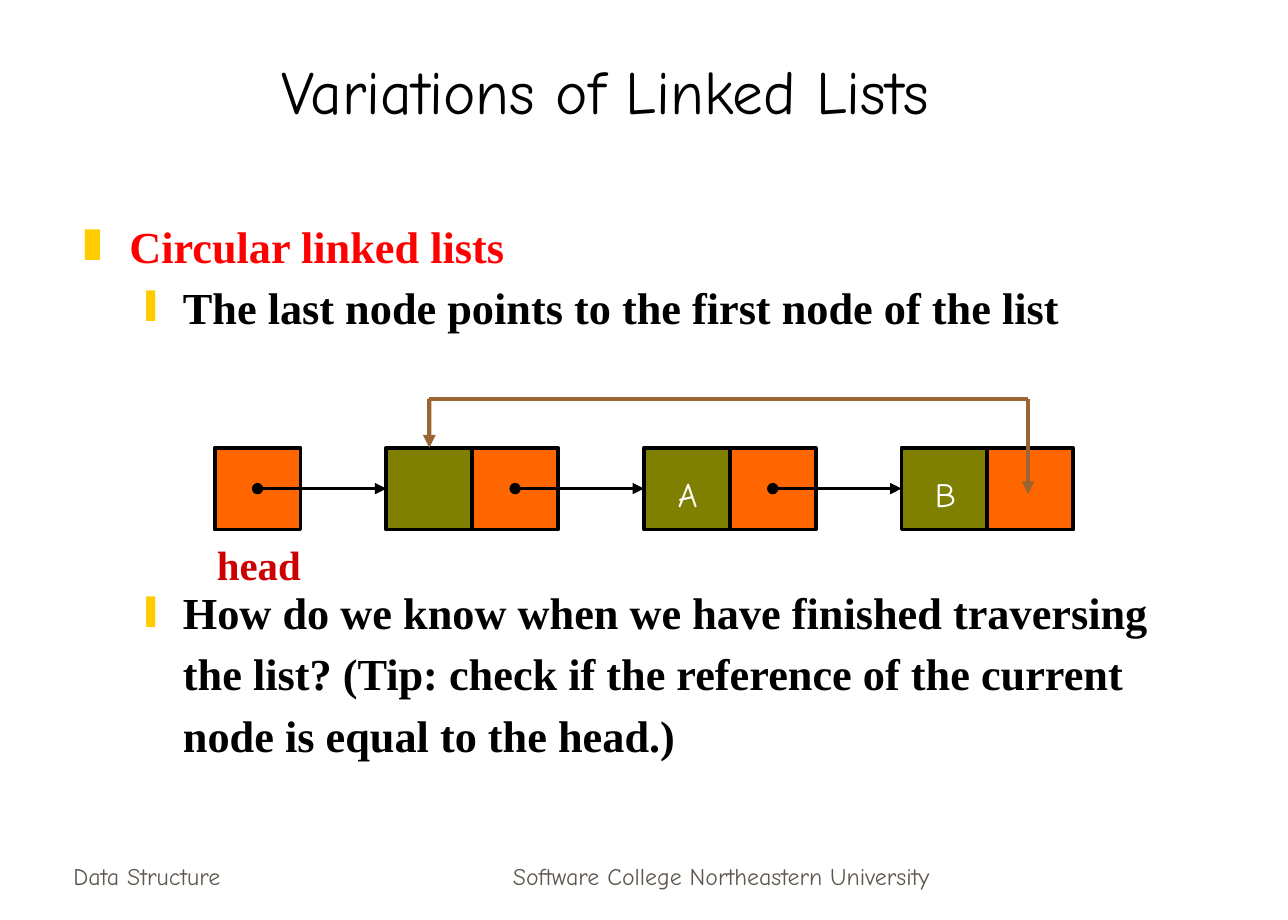
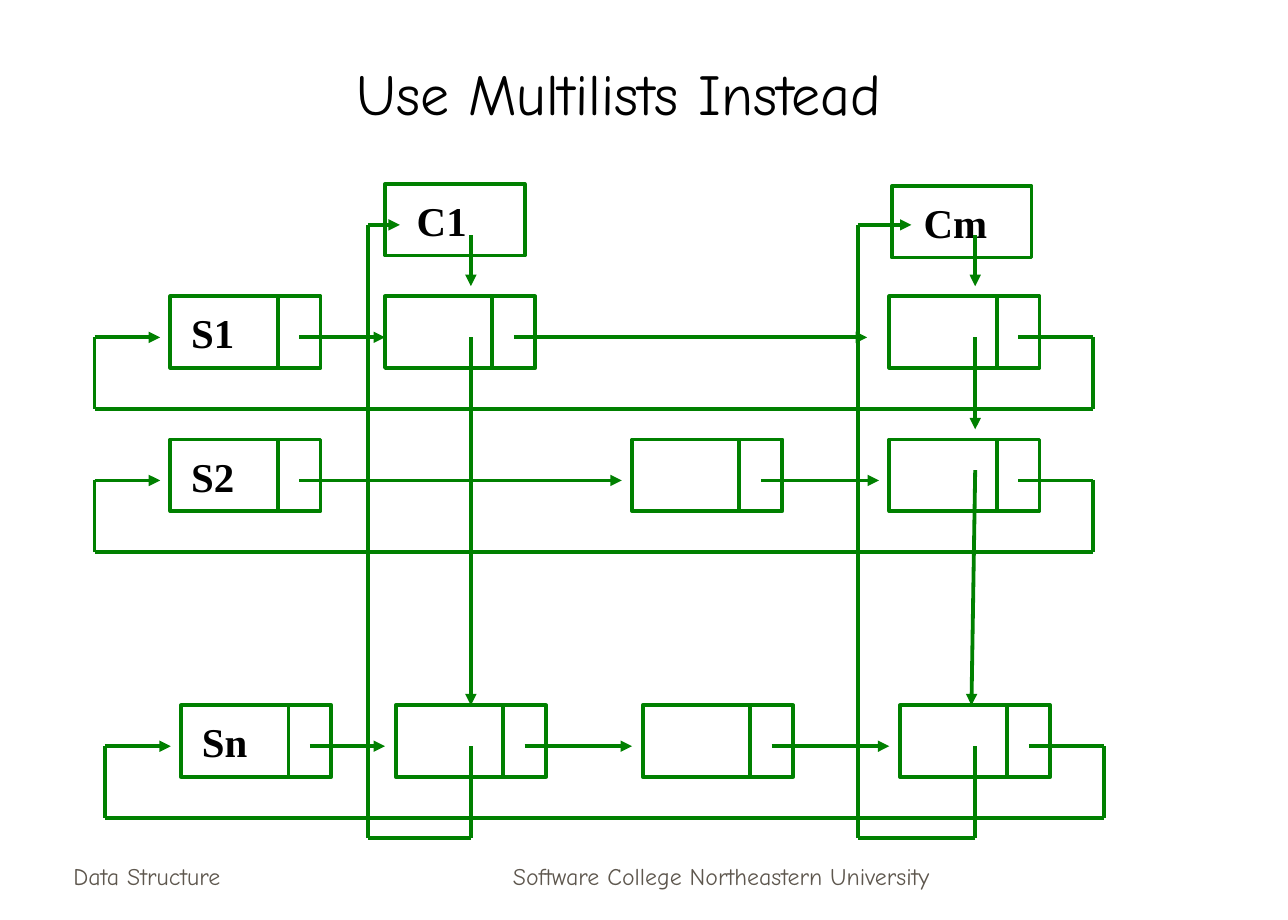
"""Two slides on circular linked lists and multilists."""
from lxml.etree import SubElement
from pptx import Presentation
from pptx.dml.color import RGBColor
from pptx.enum.shapes import MSO_CONNECTOR as Link, MSO_SHAPE as Preset
from pptx.enum.text import MSO_ANCHOR as Anchor, MSO_AUTO_SIZE as Fit, PP_ALIGN as Align
from pptx.oxml.ns import qn
from pptx.util import Pt

BLACK = RGBColor(0x00, 0x00, 0x00)
WHITE = RGBColor(0xFF, 0xFF, 0xFF)
RED = RGBColor(0xFF, 0x00, 0x00)
DARK_RED = RGBColor(0xCC, 0x00, 0x00)
YELLOW = RGBColor(0xFF, 0xCC, 0x00)
ORANGE = RGBColor(0xFF, 0x66, 0x00)
OLIVE = RGBColor(0x80, 0x80, 0x00)
BROWN = RGBColor(0x99, 0x66, 0x33)
GREEN = RGBColor(0x00, 0x80, 0x00)
GREY = RGBColor(0x5E, 0x57, 0x4E)
COMIC, TIMES = "Comic Neue", "Times New Roman"

CELL_W, CELL_H, CELL_TOP = 50.4, 48, 262.8
STEP = 75.6
BOX_W, BOX_H = 88.2, 42
DIVIDER, POINTER, MIDDLE = 63, 75.6, 24
COLUMNS = (100, 226, 371, 522)
SHIFT = 6.3


def style(paragraph, font, size, color, bold=False, align=Align.LEFT):
    """Format a paragraph and its runs."""
    paragraph.alignment = align
    for run in paragraph.runs:
        run.font.name, run.font.size, run.font.bold = font, Pt(size), bold
        run.font.color.rgb = color


def add_label(slide, area, text, *look, anchor=Anchor.TOP):
    """Add a one-paragraph text box."""
    frame = slide.shapes.add_textbox(*map(Pt, area)).text_frame
    frame.word_wrap, frame.vertical_anchor = True, anchor
    frame.text = text
    style(frame.paragraphs[0], *look)


def add_box(slide, area, line, fill=None):
    """Add an outlined rectangle, empty or filled."""
    box = slide.shapes.add_shape(Preset.RECTANGLE, *map(Pt, area))
    box.shadow.inherit = False
    box.line.color.rgb, box.line.width = line, Pt(2.25)
    if fill is None:
        box.fill.background()
    else:
        box.fill.solid()
        box.fill.fore_color.rgb = fill
    return box


def write_in_box(box, text, left, top, *look):
    """Write text in a box at the given insets."""
    frame = box.text_frame
    frame.word_wrap, frame.vertical_anchor = True, Anchor.TOP
    frame.margin_left, frame.margin_top = Pt(left), Pt(top)
    frame.margin_right = frame.margin_bottom = 0
    frame.text = text
    style(frame.paragraphs[0], *look)


def add_line(slide, start, end, color, width=2.25, head=None, tail=None):
    """Add a straight line with optional ends."""
    line = slide.shapes.add_connector(Link.STRAIGHT, *map(Pt, (*start, *end)))
    line.line.color.rgb, line.line.width = color, Pt(width)
    properties = line.element.spPr
    outline = properties.find(qn("a:ln"))
    for tag, kind in (("a:headEnd", head), ("a:tailEnd", tail)):
        if kind:
            SubElement(outline, qn(tag)).set("type", kind)
    SubElement(properties, qn("a:effectLst"))
    return line


def add_route(slide, points, color, width=2.25, head=None, tail="triangle"):
    """Join points by lines and return the last one."""
    last = len(points) - 2
    for index, (start, end) in enumerate(zip(points, points[1:])):
        line = add_line(slide, start, end, color, width,
                        head if index == 0 else None, tail if index == last else None)
    return line


def add_titled_slide(deck, title, area, size):
    """Add a slide with its title and the shared footers."""
    slide = deck.slides.add_slide(deck.slide_layouts[5])
    heading = slide.shapes.title
    heading.left, heading.top, heading.width, heading.height = map(Pt, area)
    frame = heading.text_frame
    frame.text = title
    frame.auto_size, frame.vertical_anchor = Fit.NONE, Anchor.BOTTOM
    style(frame.paragraphs[0], COMIC, size, BLACK, False, Align.CENTER)
    for left, width, text, align in (
            (36, 157.7, "Data Structure", Align.LEFT),
            (258.5, 329.8, "Software College Northeastern University", Align.CENTER)):
        add_label(slide, (left, 490.3, width, 36), text, COMIC, 14, GREY, False, align,
                  anchor=Anchor.BOTTOM)
    return slide


def add_bullets(slide, area, bullets):
    """Add a text box of bullets: text, colour, mark, level, margin, hang and gap."""
    frame = slide.shapes.add_textbox(*map(Pt, area)).text_frame
    frame.word_wrap = True
    frame.text = "\n".join(bullet[0] for bullet in bullets)
    for paragraph, (_, color, mark, level, margin, hang, gap) in zip(frame.paragraphs, bullets):
        style(paragraph, TIMES, 26, color, True)
        paragraph.level = level
        paragraph.line_spacing, paragraph.space_before = 1.15, Pt(gap)
        properties = paragraph._p.get_or_add_pPr()
        properties.set("marL", str(Pt(margin)))
        properties.set("indent", str(-Pt(hang)))
        tint = SubElement(properties, qn("a:buClr"))
        SubElement(tint, qn("a:srgbClr")).set("val", str(YELLOW))
        SubElement(properties, qn("a:buFont")).set("typeface", TIMES)
        SubElement(properties, qn("a:buChar")).set("char", mark)


def add_circular_list(slide):
    """Draw the head, three nodes and the link back."""
    middle = CELL_TOP + CELL_H / 2
    head_left = 126
    first_left = head_left + CELL_W / 2 + STEP
    add_box(slide, (head_left, CELL_TOP, CELL_W, CELL_H), BLACK, ORANGE)
    nodes = []
    for index, letter in enumerate(("", "A", "B")):
        left = first_left + 2 * STEP * index
        add_box(slide, (left + CELL_W, CELL_TOP, CELL_W, CELL_H), BLACK, ORANGE)
        node = add_box(slide, (left, CELL_TOP, CELL_W, CELL_H), BLACK, OLIVE)
        if letter:
            write_in_box(node, letter, 1, 15, COMIC, 20, WHITE, False, Align.CENTER)
        pointer = add_line(slide, (left - STEP, middle), (left, middle), BLACK,
                           head="oval", tail="triangle")
        pointer.end_connect(node, 1)
        nodes.append(node)
    first_center = first_left + CELL_W / 2
    back = add_route(slide, [(603.5, 290), (603.5, 234), (first_center, 234),
                             (first_center, CELL_TOP)], BROWN, 2.5, head="triangle")
    back.end_connect(nodes[0], 0)
    add_label(slide, (102, 313.2, 100, 36), "head", TIMES, 24, DARK_RED, True, Align.CENTER)


def add_row(slide, name, top, columns, gaps, shift=0):
    """Draw a ring of records and return their boxes; gaps stop arrows short."""
    lefts = [COLUMNS[column] + shift for column in columns]
    middle = top + MIDDLE
    boxes = []
    for left in lefts:
        boxes.append(add_box(slide, (left, top, BOX_W, BOX_H), GREEN))
        add_line(slide, (left + DIVIDER, top), (left + DIVIDER, top + BOX_H), GREEN)
    write_in_box(boxes[0], name, 12.2, 6.8, TIMES, 24, BLACK, True)
    for left, target, gap in zip(lefts, lefts[1:], gaps):
        add_route(slide, [(left + POINTER, middle), (target - gap, middle)], GREEN)
    near, far, bottom = 55.5 + shift, 641.5 + shift, top + 66
    add_route(slide, [(lefts[-1] + POINTER, middle), (far, middle), (far, bottom),
                      (near, bottom), (near, middle), (lefts[0] - 6, middle)], GREEN)
    return boxes


def add_column(slide, name, left, top, center, return_x, tip):
    """Draw a column head, its first arrow and the link back to it."""
    box = add_box(slide, (left, top, 82, BOX_H), GREEN)
    write_in_box(box, name, 18.6, 6.8, TIMES, 24, BLACK, True)
    add_route(slide, [(center, 138), (center, 168)], GREEN)
    add_route(slide, [(center, 438), (center, 492), (return_x, 492),
                      (return_x, 132), (tip, 132)], GREEN)


def add_multilist(slide):
    """Draw the three rows and the two columns that cross them."""
    add_row(slide, "S1", 174, (0, 1, 3), (0, 13))
    add_row(slide, "S2", 258, (0, 2, 3), (6, 6))
    last_row = add_row(slide, "Sn", 414, (0, 1, 2, 3), (SHIFT,) * 3, SHIFT)
    first, last = COLUMNS[1] + SHIFT + BOX_W / 2, 572.4
    add_column(slide, "C1", 226, 108, first, 216, 234.7)
    add_column(slide, "Cm", 523.5, 109.2, last, 503.5, 535)
    down = add_route(slide, [(first, 198), (first, 414)], GREEN)
    down.end_connect(last_row[1], 0)
    add_route(slide, [(last, 198), (last, 252)], GREEN)
    add_route(slide, [(last, 276), (570.2, 414)], GREEN)


def main():
    """Build and save the deck."""
    deck = Presentation()
    deck.slide_width, deck.slide_height = Pt(756), Pt(540)
    circular = add_titled_slide(deck, "Variations of Linked Lists", (33.8, 18, 643, 60), 36)
    add_bullets(circular, (41.8, 120.2, 666.7, 354.2), [
        ("Circular linked lists", RED, "❚", 0, 27, 27, 0),
        ("The last node points to the first node of the list", BLACK, "❙", 1, 58.5, 22.5, 0),
        ("How do we know when we have finished traversing the list? (Tip: check if the "
         "reference of the current node is equal to the head.)",
         BLACK, "❙", 1, 58.5, 22.5, 143.6),
    ])
    add_circular_list(circular)
    multilist = add_titled_slide(deck, "Use Multilists Instead", (41.8, -12, 643, 90), 34)
    add_multilist(multilist)
    deck.save("out.pptx")


if __name__ == "__main__":
    main()
